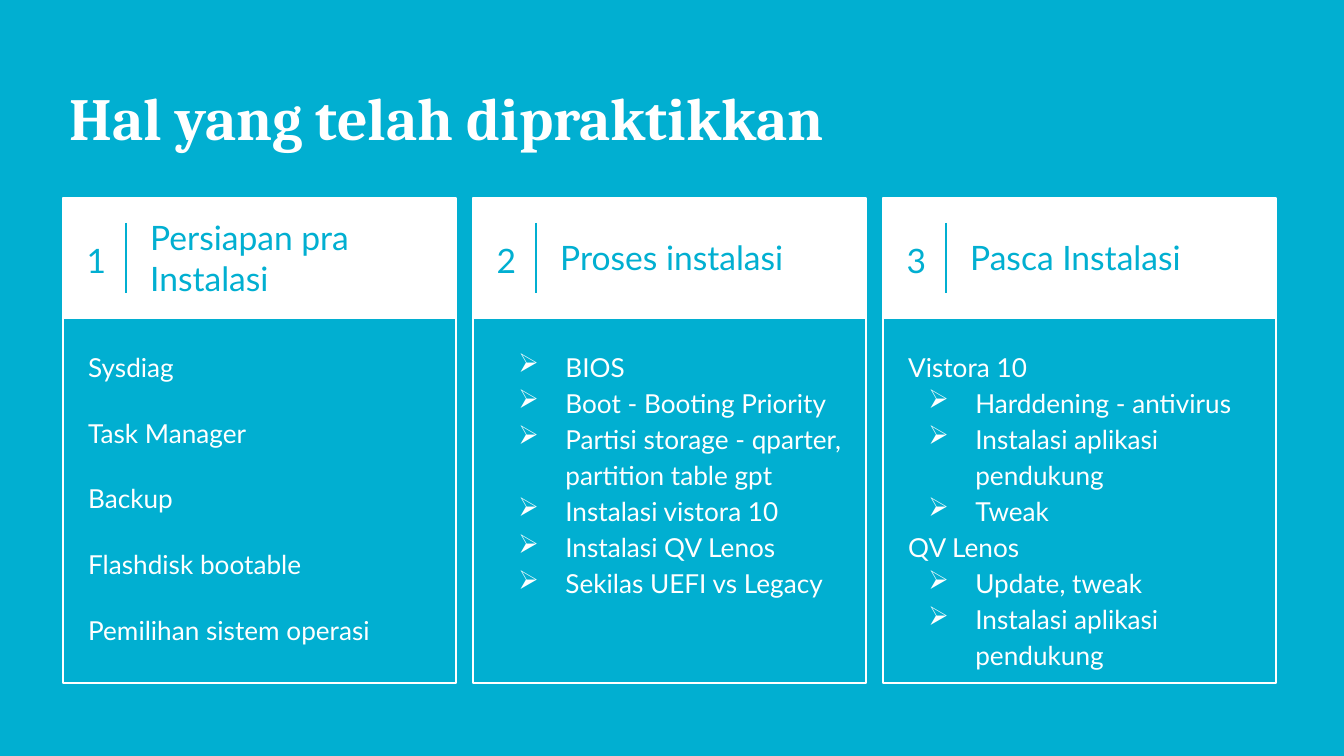
"""Build a slide with three numbered cards of installation practice topics."""
from lxml import etree
from pptx import Presentation
from pptx import util as u
from pptx.dml.color import RGBColor
from pptx.enum import shapes, text
from pptx.oxml.ns import qn

PX = 914400 / 134.4
COLORS = {"sea": "01AFD1", "white": "FFFFFF"}
BULLET = "➢"
CARD_LEFT, CARD_TOP, CARD_PITCH = 63, 198, 410
CARD_WIDTH, CARD_HEIGHT, HEADER_HEIGHT = 393, 485, 121

CARDS = [
    ("Persiapan pra Instalasi", 16, [
        (False, "Sysdiag"),
        (False, "Task Manager"),
        (False, "Backup"),
        (False, "Flashdisk bootable"),
        (False, "Pemilihan sistem operasi"),
    ]),
    ("Proses instalasi", 0, [
        (True, "BIOS"),
        (True, "Boot - Booting Priority"),
        (True, "Partisi storage - qparter, partition table gpt"),
        (True, "Instalasi vistora 10"),
        (True, "Instalasi QV Lenos"),
        (True, "Sekilas UEFI vs Legacy"),
    ]),
    ("Pasca Instalasi", 0, [
        (False, "Vistora 10"),
        (True, "Harddening - antivirus"),
        (True, "Instalasi aplikasi pendukung"),
        (True, "Tweak"),
        (False, "QV Lenos"),
        (True, "Update, tweak"),
        (True, "Instalasi aplikasi pendukung"),
    ]),
]


def px(length):
    return u.Emu(round(length * PX))


def rgb(name):
    return RGBColor.from_string(COLORS[name])


def write(paragraph, words, size=14, font="Lato", color="white", bold=False,
          align=text.PP_ALIGN.LEFT, spacing=1.0, before=0, bulleted=False):
    run = paragraph.add_run()
    run.text = words
    run.font.size, run.font.name, run.font.bold = u.Pt(size), font, bold
    run.font.color.rgb = rgb(color)
    paragraph.alignment = align
    paragraph.line_spacing = spacing
    paragraph.space_before = u.Pt(before)
    if bulleted:
        props = paragraph._p.get_or_add_pPr()
        props.set("marL", str(u.Inches(0.5)))
        props.set("indent", str(u.Inches(-0.35)))
        tint = etree.SubElement(props, qn("a:buClr"))
        etree.SubElement(tint, qn("a:srgbClr"), val=COLORS[color])
        etree.SubElement(props, qn("a:buChar"), char=BULLET)


class Deck:
    def __init__(self):
        self.show = Presentation()
        self.show.slide_width, self.show.slide_height = px(1344), px(756)
        self.slide = self.show.slides.add_slide(self.show.slide_layouts[6])
        self.slide.background.fill.solid()
        self.slide.background.fill.fore_color.rgb = rgb("sea")

    def panel(self, left, top, width, height, fill=None, line=None):
        panel = self.slide.shapes.add_shape(
            shapes.MSO_SHAPE.RECTANGLE, px(left), px(top), px(width), px(height))
        panel.shadow.inherit = False
        if fill:
            panel.fill.solid()
            panel.fill.fore_color.rgb = rgb(fill)
        else:
            panel.fill.background()
        if line:
            panel.line.color.rgb = rgb(line)
            panel.line.width = u.Pt(0.75)
        else:
            panel.line.fill.background()

    def divider(self, x, top, bottom):
        divider = self.slide.shapes.add_connector(
            shapes.MSO_CONNECTOR.STRAIGHT, px(x), px(top), px(x), px(bottom))
        divider.line.color.rgb = rgb("sea")
        divider.line.width = u.Pt(0.75)
        etree.SubElement(divider._element.spPr, qn("a:effectLst"))

    def label(self, left, top, width, height, entries,
              anchor=text.MSO_ANCHOR.TOP, **style):
        frame = self.slide.shapes.add_textbox(
            px(left), px(top), px(width), px(height)).text_frame
        frame.word_wrap = True
        frame.vertical_anchor = anchor
        frame.margin_left = frame.margin_right = u.Inches(0.1)
        frame.margin_top = frame.margin_bottom = u.Inches(0.1)
        gap = style.pop("gap", 0)
        for i, (bulleted, words) in enumerate(entries):
            paragraph = frame.add_paragraph() if i else frame.paragraphs[0]
            write(paragraph, words, bulleted=bulleted,
                  before=gap if i else 0, **style)

    def card(self, index, heading, gap, entries):
        left = CARD_LEFT + index * CARD_PITCH
        header = {"anchor": text.MSO_ANCHOR.MIDDLE, "size": 18, "color": "sea"}
        self.panel(left, CARD_TOP, CARD_WIDTH, CARD_HEIGHT, line="white")
        self.panel(left, CARD_TOP, CARD_WIDTH, HEADER_HEIGHT, fill="white")
        self.label(left + 8, CARD_TOP - 1, 51, HEADER_HEIGHT,
                   [(False, str(index + 1))],
                   align=text.PP_ALIGN.CENTER, spacing=1.15, **header)
        self.divider(left + 63, CARD_TOP + 25, CARD_TOP + 95)
        self.label(left + 74, CARD_TOP - 1, 309, HEADER_HEIGHT,
                   [(False, heading)], **header)
        self.label(left + 12, CARD_TOP + 135, 372, 349, entries,
                   spacing=1.15, gap=gap)


def main():
    deck = Deck()
    deck.label(56, 67, 1230, 101, [(False, "Hal yang telah dipraktikkan")],
               size=32, font="Cambria", bold=True)
    for index, card in enumerate(CARDS):
        deck.card(index, *card)
    deck.show.save("out.pptx")


if __name__ == "__main__":
    main()
